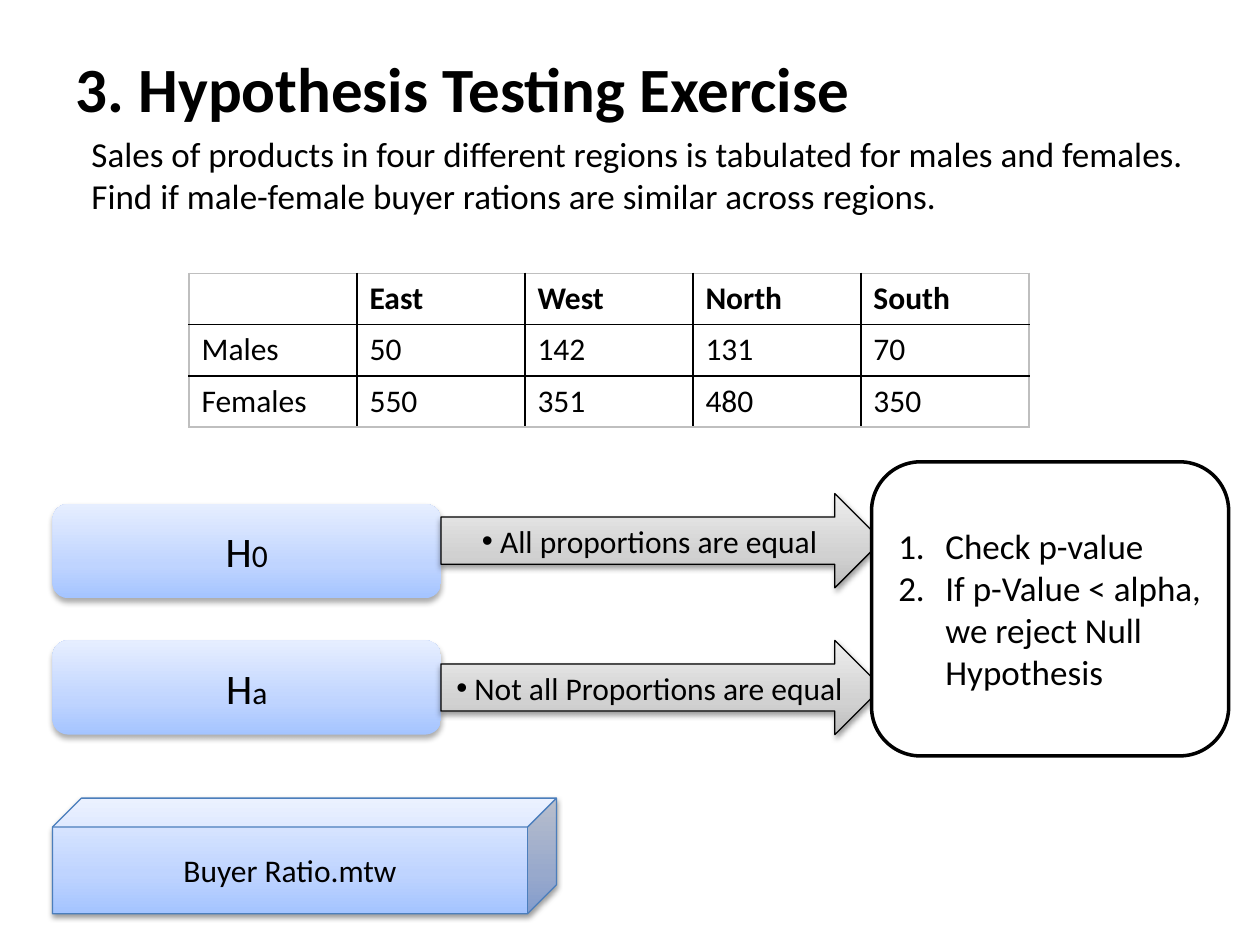
from lxml.etree import SubElement
from pptx import Presentation
from pptx.dml.color import RGBColor
from pptx.enum.shapes import MSO_SHAPE as Shape
from pptx.enum.text import MSO_ANCHOR as Anchor, MSO_AUTO_SIZE as AutoSize, PP_ALIGN as Align
from pptx.oxml.ns import qn
from pptx.util import Cm, Pt

# Content
TITLE = "3. Hypothesis Testing Exercise"
QUESTION = ("Sales of products in four different regions is tabulated for males and females. "
            "Find if male-female buyer rations are similar across regions.")
SALES = [
    ["", "East", "West", "North", "South"],
    ["Males", "50", "142", "131", "70"],
    ["Females", "550", "351", "480", "350"],
]
# Subscript, box top, claim, arrow top (cm)
HYPOTHESES = [
    ("0", 10.16, " All proportions are equal", 9.95),
    ("a", 12.91, " Not all Proportions are equal", 12.91),
]
STEPS = ["Check p-value", "If p-Value < alpha, we reject Null Hypothesis"]
DATA_FILE = "Buyer Ratio.mtw"

# Look
FONT = "Calibri"
BLACK = RGBColor(0x00, 0x00, 0x00)
WHITE = RGBColor(0xFF, 0xFF, 0xFF)
GRAY = RGBColor(0xBF, 0xBF, 0xBF)
BLUE_EDGE = RGBColor(0x4B, 0x7E, 0xBC)
BLUES = [RGBColor(0xA4, 0xC4, 0xFF), RGBColor(0xBF, 0xD4, 0xFF), RGBColor(0xE6, 0xEE, 0xFF)]
GRAYS = [RGBColor(0xBD, 0xBD, 0xBD), RGBColor(0xD1, 0xD1, 0xD1), RGBColor(0xEE, 0xEE, 0xEE)]
STOPS = [0, 35, 100]
# Opacity in percent, blur and distance in points
SOFT_SHADOW = (32, 3.5, 2.2)
FIRM_SHADOW = (38, 3.1, 1.6)
LEFT, BOX_WIDTH, BAR_HEIGHT = 1.06, 7.83, 1.9
HANGING = 0.95


def write_text(frame, *lines, size=18, bold=False, align=Align.LEFT, indent=0, hang=0,
               bullet=None, small=""):
    """Fill a text frame; small is a smaller ending on each line."""
    for index, line in enumerate(lines):
        para = frame.paragraphs[0] if index == 0 else frame.add_paragraph()
        para.alignment = align
        for words, points in ((line, size), (small, 18)):
            if words:
                span = para.add_run()
                span.text = words
                span.font.name, span.font.size, span.font.bold = FONT, Pt(points), bold
                span.font.color.rgb = BLACK
        props = para._p.get_or_add_pPr()
        props.set("marL", str(Cm(indent)))
        props.set("indent", str(Cm(-hang)))
        if bullet == "number":
            SubElement(props, qn("a:buFont"), typeface="+mj-lt")
            SubElement(props, qn("a:buAutoNum"), type="arabicPeriod")
        elif bullet:
            SubElement(props, qn("a:buFont"), typeface="Arial")
            SubElement(props, qn("a:buChar"), char=bullet)
        else:
            SubElement(props, qn("a:buNone"))


def place(shape, left, top, width, height):
    shape.left, shape.top, shape.width, shape.height = map(Cm, (left, top, width, height))


def add_color(parent, color):
    return SubElement(parent, qn("a:srgbClr"), val=str(color))


def add_block(page, kind, area, colors=None, edge=None, weight=0.75, shadow=None):
    """Add a preset shape with a vertical gradient, or white without colors."""
    shape = page.shapes.add_shape(kind, *map(Cm, area))
    if colors:
        shape.fill.gradient()
        shape.fill.gradient_angle = 90
        stops = shape._element.spPr.find(qn("a:gradFill")).find(qn("a:gsLst"))
        for stop in list(stops):
            stops.remove(stop)
        for percent, color in zip(STOPS, colors):
            add_color(SubElement(stops, qn("a:gs"), pos=str(percent * 1000)), color)
    else:
        shape.fill.solid()
        shape.fill.fore_color.rgb = WHITE
    if edge is None:
        shape.line.fill.background()
    else:
        shape.line.color.rgb = edge
        shape.line.width = Pt(weight)
    shape.shadow.inherit = False
    if shadow:
        opacity, blur, distance = shadow
        effects = shape._element.spPr.find(qn("a:effectLst"))
        outer = SubElement(effects, qn("a:outerShdw"), blurRad=str(Pt(blur)),
                           dist=str(Pt(distance)), dir="5400000", rotWithShape="0")
        SubElement(add_color(outer, BLACK), qn("a:alpha"), val=str(opacity * 1000))
    shape.text_frame.word_wrap = True
    shape.text_frame.vertical_anchor = Anchor.MIDDLE
    return shape


def add_sales_table(page):
    rows, cols = len(SALES), len(SALES[0])
    table = page.shapes.add_table(rows, cols, Cm(3.81), Cm(5.51), Cm(16.93), Cm(3.1)).table
    table.first_row = table.horz_banding = False
    for r, row in enumerate(SALES):
        for c, words in enumerate(row):
            cell = table.cell(r, c)
            # Gray around the outside, black between cells
            outside = {"L": c == 0, "R": c == cols - 1, "T": r == 0, "B": r == rows - 1}
            props = cell._tc.get_or_add_tcPr()
            for side, is_outer in outside.items():
                line = SubElement(props, qn(f"a:ln{side}"), w=str(Pt(1)))
                add_color(SubElement(line, qn("a:solidFill")), GRAY if is_outer else BLACK)
            cell.fill.background()
            write_text(cell.text_frame, words, bold=r == 0)


def main():
    deck = Presentation()
    deck.slide_width, deck.slide_height = Cm(25.4), Cm(19.05)
    page = deck.slides.add_slide(deck.slide_layouts[1])

    # Title and question
    title, body = page.placeholders
    place(title, 1.27, 0.76, 22.86, 1.98)
    place(body, 0.64, 2.54, 24.33, 15.88)
    for holder in (title, body):
        holder.text_frame.auto_size = AutoSize.NONE
    title.text_frame.vertical_anchor = Anchor.MIDDLE
    write_text(title.text_frame, TITLE, size=36, bold=True)
    write_text(body.text_frame, QUESTION, size=20, indent=HANGING)

    add_sales_table(page)

    # Hypotheses, each with an arrow
    for letter, top, claim, arrow_top in HYPOTHESES:
        box = add_block(page, Shape.ROUNDED_RECTANGLE, (LEFT, top, BOX_WIDTH, BAR_HEIGHT),
                        BLUES, shadow=SOFT_SHADOW)
        write_text(box.text_frame, "H", size=24, align=Align.CENTER, small=letter)
        arrow = add_block(page, Shape.RIGHT_ARROW,
                          (LEFT + BOX_WIDTH, arrow_top, 8.89, BAR_HEIGHT),
                          GRAYS, edge=BLACK, shadow=FIRM_SHADOW)
        write_text(arrow.text_frame, claim, align=Align.CENTER, bullet="•")

    # Decision steps
    decision = add_block(page, Shape.ROUNDED_RECTANGLE, (17.57, 9.31, 7.2, 5.93),
                         edge=BLACK, weight=2)
    write_text(decision.text_frame, *STEPS, size=20, indent=HANGING, hang=HANGING,
               bullet="number")

    # Data file
    cube = add_block(page, Shape.CUBE, (LEFT, 16.09, 10.16, 2.33), BLUES,
                     edge=BLUE_EDGE, shadow=FIRM_SHADOW)
    write_text(cube.text_frame, DATA_FILE, align=Align.CENTER)

    deck.save("out.pptx")


if __name__ == "__main__":
    main()
